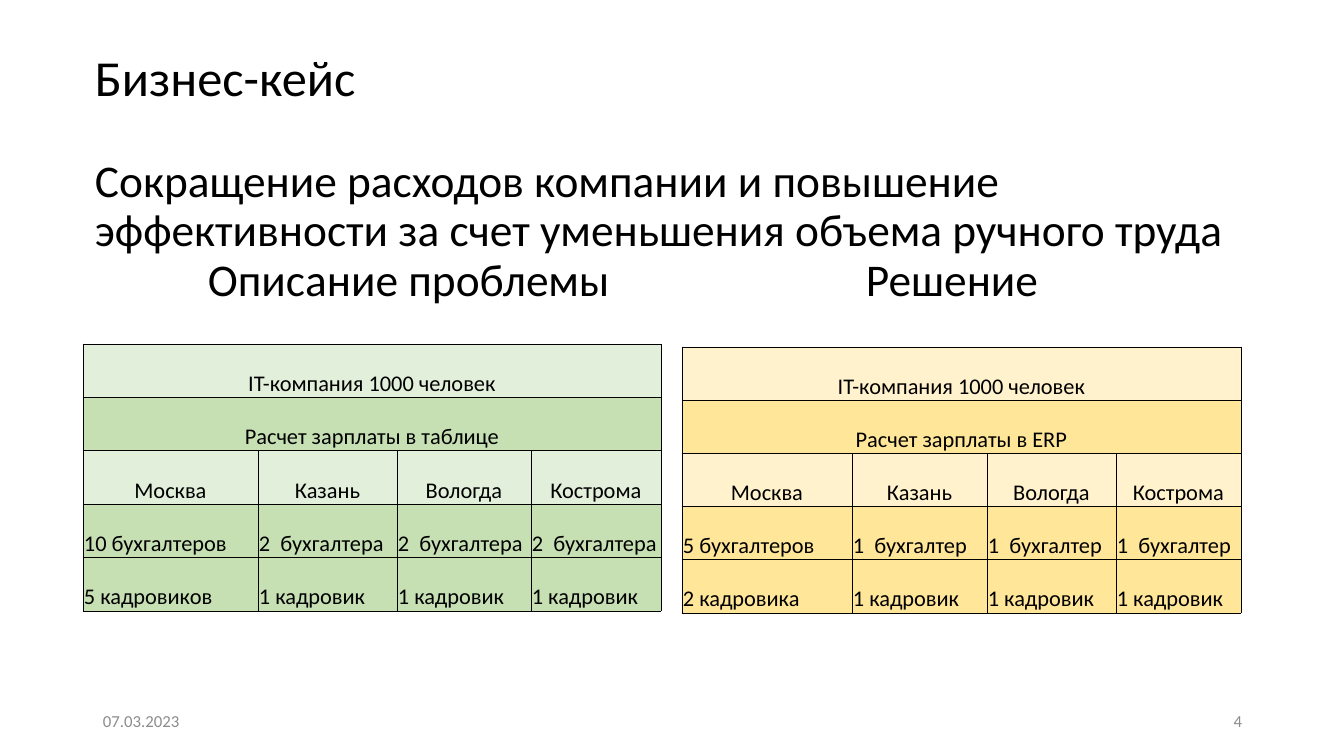
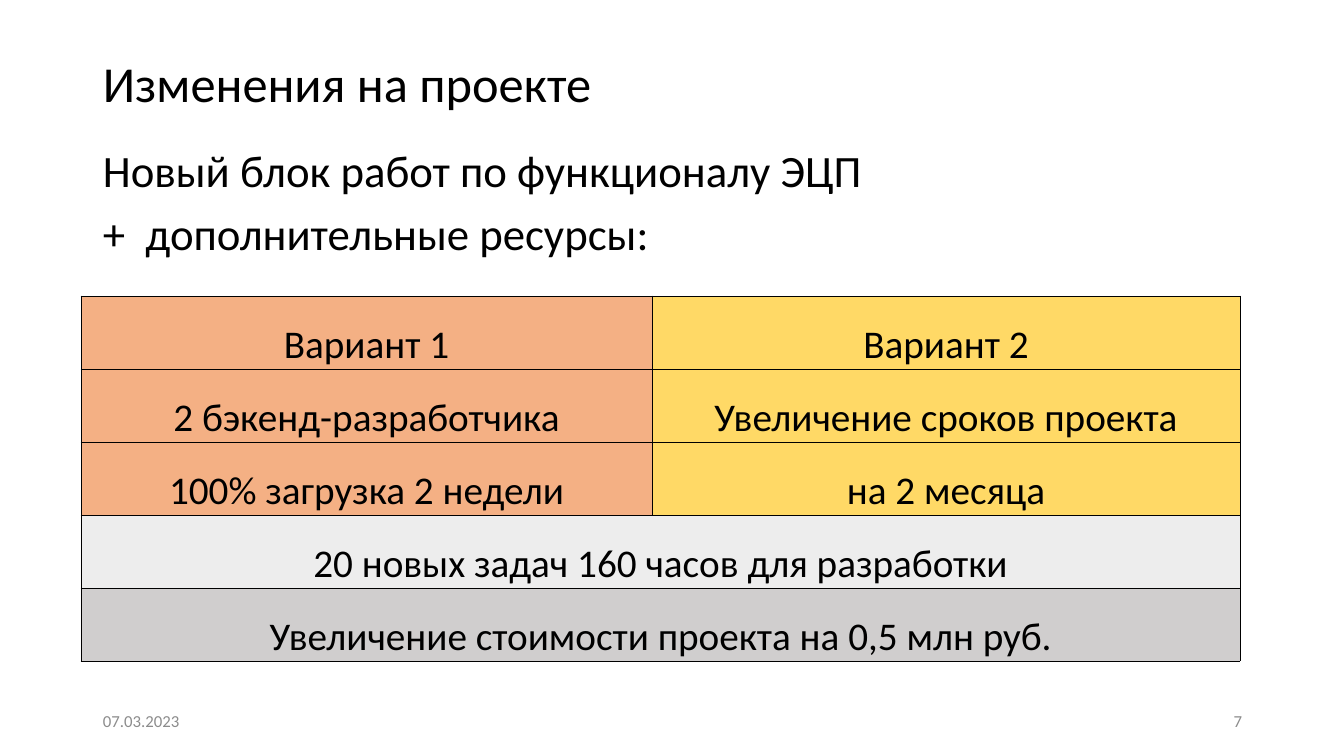
"""Build two project slides: the business case and the project changes."""
import pptx
import pptx.dml.color
import pptx.enum.text
import pptx.oxml
import pptx.oxml.ns
import pptx.util

SCALE = 12192000 / 1344
WIDE, HIGH = 1344, 756
ALIGN = pptx.enum.text.PP_ALIGN
ANCHOR = pptx.enum.text.MSO_ANCHOR

THEME = {
    "font": "Calibri",
    "ink": "000000", "muted": "8C8C8C",
    "mint": "E2EFDA", "green": "C6E0B4",
    "cream": "FFF2CC", "yellow": "FFE699",
    "orange": "F4B084", "gold": "FFD966",
    "pale": "EDEDED", "grey": "D0CECE",
    "title": 36, "lead": 32.4, "body": 32, "cell": 16, "large": 28, "foot": 12,
    "line": 0.5,
}

DATE = "07.03.2023"
CITIES = ["Москва", "Казань", "Вологда", "Кострома"]
STAFF = "IT-компания 1000 человек"


def plan(tool, light, dark, *teams):
    """List the rows of a staff table as texts, fills and alignment."""
    heads = [([STAFF], [light]), ([tool], [dark]), (CITIES, [light])]
    rows = [(texts, fills, ALIGN.CENTER) for texts, fills in heads]
    return rows + [([main] + [rest] * 3, [dark], ALIGN.LEFT) for main, rest in teams]


CASE = {
    "title": ("Бизнес-кейс", (85, 34, 1157, 93)),
    "texts": [
        (["Сокращение расходов компании и повышение эффективности "
          "за счет уменьшения объема ручного труда"], (85, 157, 1157, 100), "lead", 0),
        (["Описание проблемы"], (198, 257, 440, 50), "lead", 0),
        (["Решение"], (856, 257, 300, 50), "lead", 0),
    ],
    "tables": [
        {"at": (83, 344), "cols": [175, 139, 134, 130], "high": 267, "size": "cell",
         "rows": plan("Расчет зарплаты в таблице", "mint", "green",
                      ("10 бухгалтеров", "2  бухгалтера"),
                      ("5 кадровиков", "1 кадровик"))},
        {"at": (682, 347), "cols": [170, 135, 129, 125], "high": 266, "size": "cell",
         "rows": plan("Расчет зарплаты в ERP", "cream", "yellow",
                      ("5 бухгалтеров", "1  бухгалтер"),
                      ("2 кадровика", "1 кадровик"))},
    ],
    "page": "4",
}

PAIR = ["orange", "gold"]
CHANGE = {
    "title": ("Изменения на проекте", (93, 40, 1159, 93)),
    "texts": [
        (["Новый блок работ по функционалу ЭЦП", "+  дополнительные ресурсы:"],
         (93, 144, 1159, 140), "body", 10),
    ],
    "tables": [
        {"at": (81, 296), "cols": [571, 588], "high": 365, "size": "large",
         "rows": [
             (["Вариант 1", "Вариант 2"], PAIR, ALIGN.CENTER),
             (["2 бэкенд-разработчика", "Увеличение сроков проекта"], PAIR, ALIGN.CENTER),
             (["100% загрузка 2 недели", "на 2 месяца"], PAIR, ALIGN.CENTER),
             (["20 новых задач 160 часов для разработки"], ["pale"], ALIGN.CENTER),
             (["Увеличение стоимости проекта на 0,5 млн руб."], ["grey"], ALIGN.CENTER),
         ]},
    ],
    "page": "7",
}


def px(num):
    """Turn px into EMU."""
    return pptx.util.Emu(round(num * SCALE))


def tint(name):
    """Return a theme colour."""
    return pptx.dml.color.RGBColor.from_string(THEME[name])


def style(para, size, hue="ink", align=ALIGN.LEFT):
    """Format one paragraph and its runs."""
    para.alignment = align
    for run in para.runs:
        run.font.name = THEME["font"]
        run.font.size = pptx.util.Pt(THEME[size])
        run.font.color.rgb = tint(hue)


def write(slide, lines, box, size, hue="ink", align=ALIGN.LEFT,
          anchor=ANCHOR.MIDDLE, gap=0, lead=0.9):
    """Add a wrapped text box with one paragraph per line."""
    frame = slide.shapes.add_textbox(*map(px, box)).text_frame
    frame.word_wrap = True
    frame.vertical_anchor = anchor
    frame.text = "\n".join(lines)
    for para in frame.paragraphs:
        para.line_spacing = lead
        para.space_before = pptx.util.Pt(gap)
        style(para, size, hue, align)


def edge(cell):
    """Draw a thin border on all sides of a cell."""
    props = cell._tc.get_or_add_tcPr()
    space = pptx.oxml.ns.nsdecls("a")
    width = pptx.util.Pt(THEME["line"])
    for side in "LRTB":
        props.append(pptx.oxml.parse_xml(
            f'<a:ln{side} {space} w="{width}"><a:solidFill>'
            f'<a:srgbClr val="{THEME["ink"]}"/></a:solidFill></a:ln{side}>'))


def grid(slide, data):
    """Add a table; a row with a single text spans all columns."""
    rows, cols = data["rows"], data["cols"]
    box = (*data["at"], sum(cols), data["high"])
    table = slide.shapes.add_table(len(rows), len(cols), *map(px, box)).table
    table.first_row = table.horz_banding = False
    for col, width in zip(table.columns, cols):
        col.width = px(width)
    for r, (texts, fills, align) in enumerate(rows):
        table.rows[r].height = px(data["high"] / len(rows))
        for c in range(len(cols)):
            cell = table.cell(r, c)
            edge(cell)
            cell.fill.solid()
            cell.fill.fore_color.rgb = tint(fills[c % len(fills)])
            cell.margin_left = cell.margin_right = cell.margin_top = px(1)
            cell.margin_bottom = 0
            cell.vertical_anchor = ANCHOR.BOTTOM
            if c < len(texts):
                cell.text_frame.text = texts[c]
                style(cell.text_frame.paragraphs[0], data["size"], align=align)
        if len(texts) == 1:
            table.cell(r, 0).merge(table.cell(r, len(cols) - 1))


def build(deck, data):
    """Add one slide with title, texts, tables and footer."""
    slide = deck.slides.add_slide(deck.slide_layouts[6])
    title, box = data["title"]
    write(slide, [title], box, "title")
    for lines, box, size, gap in data["texts"]:
        anchor = ANCHOR.TOP if gap else ANCHOR.MIDDLE
        write(slide, lines, box, size, anchor=anchor, gap=gap)
    for table in data["tables"]:
        grid(slide, table)
    for text, left, align in [(DATE, 93, ALIGN.LEFT), (data["page"], 950, ALIGN.RIGHT)]:
        write(slide, [text], (left, 701, 302, 40), "foot", "muted", align, lead=1.0)


def main():
    """Make and save the deck."""
    deck = pptx.Presentation()
    deck.slide_width, deck.slide_height = px(WIDE), px(HIGH)
    for data in (CASE, CHANGE):
        build(deck, data)
    deck.save("out.pptx")


if __name__ == "__main__":
    main()
